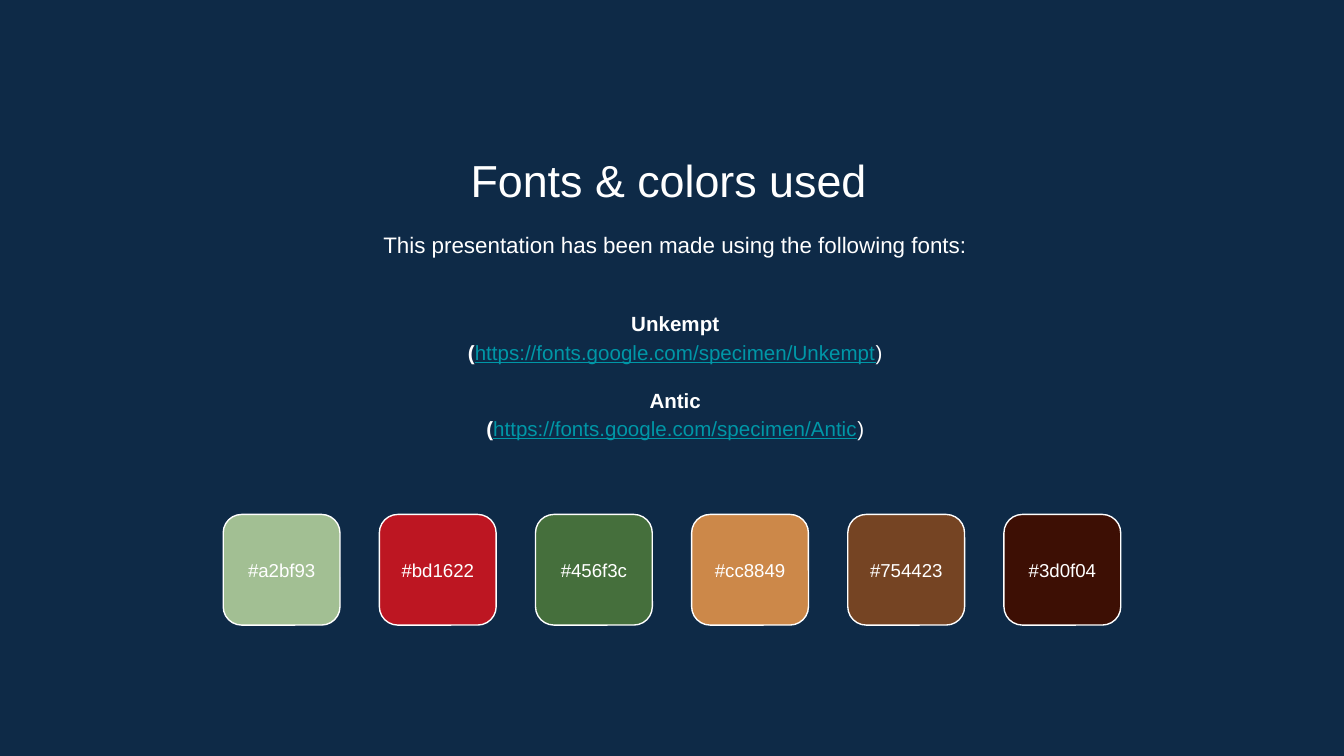
from pptx import Presentation
from pptx.dml.color import RGBColor
from pptx.enum.shapes import MSO_SHAPE
from pptx.enum.text import MSO_ANCHOR, PP_ALIGN
from pptx.util import Pt

ROUND = MSO_SHAPE.ROUNDED_RECTANGLE
MIDDLE = MSO_ANCHOR.MIDDLE
CENTER = PP_ALIGN.CENTER
WHITE, TEAL, NAVY = "FFFFFF", "0097A7", "0E2A47"


def color(text):
    return RGBColor.from_string(text.upper())


def style(part, size):
    """Centre a paragraph and set its font."""
    part.alignment = CENTER
    for run in part.runs:
        run.font.name = "Arial"
        run.font.size = Pt(size)
        run.font.color.rgb = color(WHITE)


deck = Presentation()
deck.slide_width, deck.slide_height = Pt(720), Pt(405)
slide = deck.slides.add_slide(deck.slide_layouts[6])
slide.background.fill.solid()
slide.background.fill.fore_color.rgb = color(NAVY)

# Text boxes: title, intro and font list
frames = []
for left, top, height in ((80.6, 74.9, 38.2), (84.2, 114.5, 34.6), (84.2, 151.2, 98.6)):
    box = slide.shapes.add_textbox(Pt(left), Pt(top), Pt(555.1), Pt(height))
    frame = box.text_frame
    frame.word_wrap = True
    frame.margin_left = frame.margin_right = Pt(7.2)
    frame.margin_top = frame.margin_bottom = Pt(7.2)
    frames.append(frame)
title, intro, fonts = frames

title.text = "Fonts & colors used"
style(title.paragraphs[0], 24)

intro.text = "This presentation has been made using the following fonts:"
intro.paragraphs[0].line_spacing = 1.15
style(intro.paragraphs[0], 12)

# Font names, each with its address below
fonts.vertical_anchor = MIDDLE
for i, name in enumerate(("Unkempt", "Antic")):
    head = fonts.add_paragraph() if i else fonts.paragraphs[0]
    head.text = name
    if i:
        head.space_before = Pt(10.6)
    link = fonts.add_paragraph()
    for text in ("(", f"https://fonts.google.com/specimen/{name}", ")"):
        link.add_run().text = text
    for part in (head, link):
        part.line_spacing = 1.15
        style(part, 11)
    head.runs[0].font.bold = True
    start, url, end = link.runs
    start.font.bold = True
    url.font.underline = True
    url.font.color.rgb = color(TEAL)

# Row of color swatches
codes = ("a2bf93", "bd1622", "456f3c", "cc8849", "754423", "3d0f04")
for i, code in enumerate(codes):
    swatch = slide.shapes.add_shape(
        ROUND, Pt(119.6 + i * 83.65), Pt(275.6), Pt(62.6), Pt(59.3))
    swatch.shadow.inherit = False
    swatch.adjustments[0] = 0.167
    swatch.fill.solid()
    swatch.fill.fore_color.rgb = color(code)
    swatch.line.color.rgb = color(WHITE)
    swatch.line.width = Pt(0.75)
    frame = swatch.text_frame
    frame.margin_left = frame.margin_right = Pt(0)
    frame.vertical_anchor = MIDDLE
    frame.text = f"#{code}"
    style(frame.paragraphs[0], 10)

deck.save("out.pptx")
